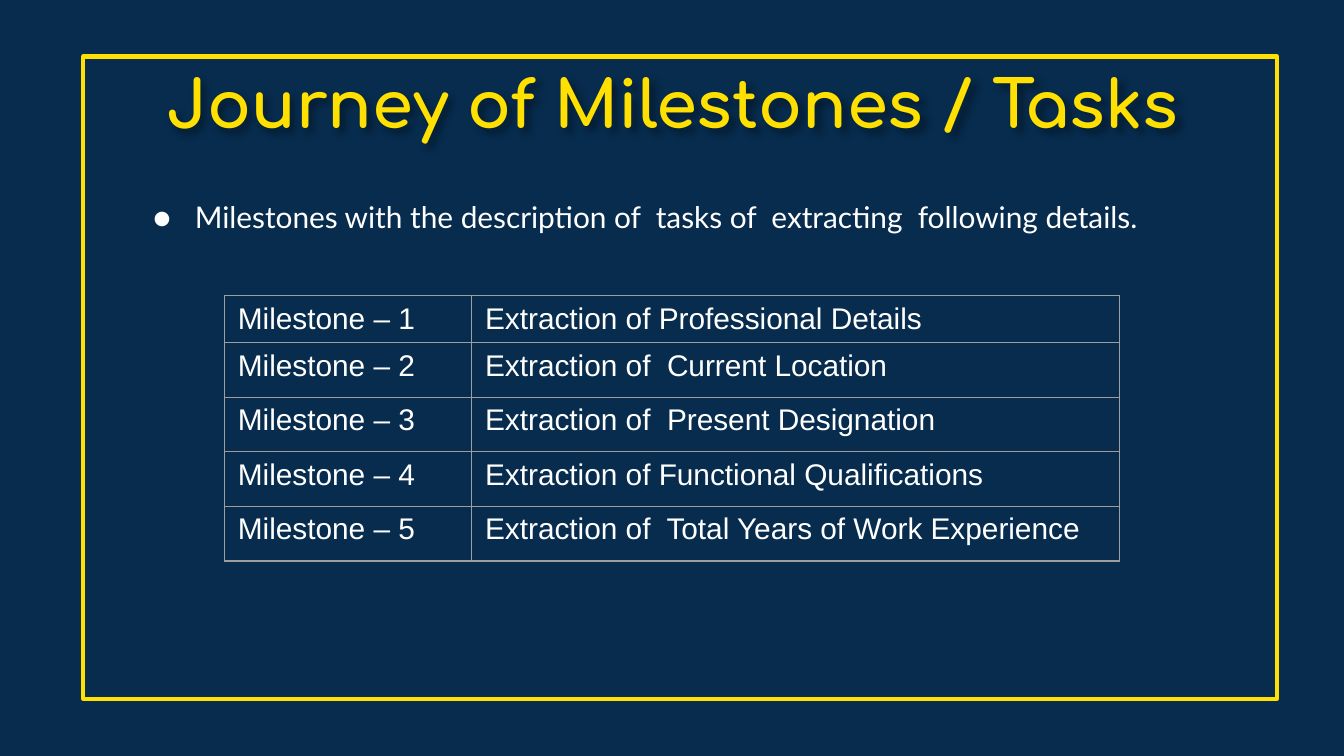
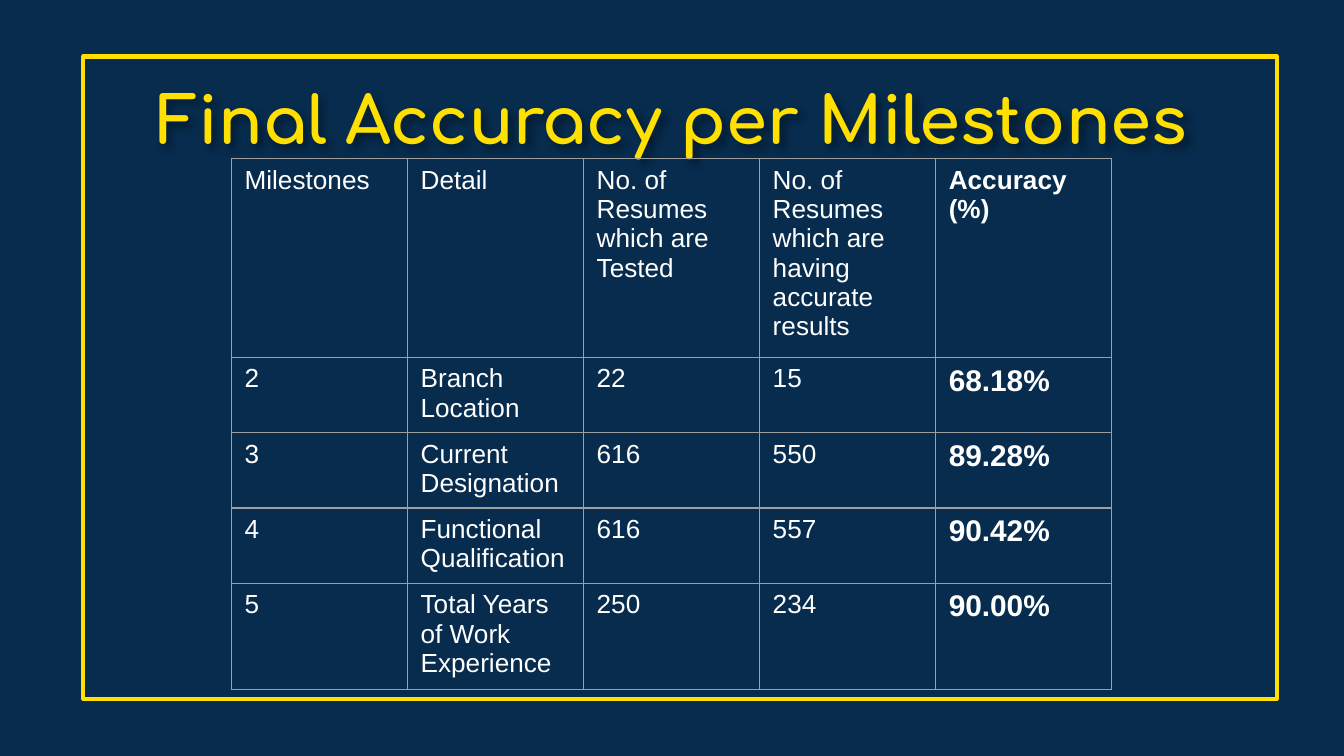
from dataclasses import dataclass
from typing import Callable

from lxml import etree
from pptx import Presentation
from pptx.dml.color import RGBColor
from pptx.enum.shapes import MSO_SHAPE
from pptx.enum.text import MSO_ANCHOR, MSO_AUTO_SIZE, PP_ALIGN
from pptx.oxml.ns import qn
from pptx.util import Inches, Pt

RECTANGLE = MSO_SHAPE.RECTANGLE
TOP = MSO_ANCHOR.TOP
NO_AUTOFIT = MSO_AUTO_SIZE.NONE
CENTER, LEFT = PP_ALIGN.CENTER, PP_ALIGN.LEFT

COLORS = {"navy": "072C4E", "yellow": "FFE000", "white": "FFFFFF",
          "grid": "9E9E9E", "shadow": "000000"}

SLIDE_WIDTH, SLIDE_HEIGHT = Inches(10), Inches(5.625)
UNIT = SLIDE_WIDTH // 100  # the slide is a grid of 100 columns by 56.25 rows
TEXT_INSET = UNIT


@dataclass(frozen=True)
class Box:
    """An area in grid columns and rows."""
    left: float
    top: float
    width: float
    height: float

    def emu(self) -> tuple[int, ...]:
        return tuple(round(length * UNIT) for length in
                     (self.left, self.top, self.width, self.height))


@dataclass(frozen=True)
class TextStyle:
    font: str
    size: float
    color: str = "white"
    bold: bool = False


@dataclass(frozen=True)
class TableSpec:
    left: float
    top: float
    columns: list[float]
    rows: list[float]
    cells: list[list[str]]
    style_at: Callable[[int, int], TextStyle]


TITLE = TextStyle("Comfortaa", 35, "yellow", bold=True)
BODY = TextStyle("Lato", 16)
LARGE_CELL = TextStyle("Arial", 16)
SMALL_CELL = TextStyle("Arial", 14)
ACCURACY_HEADER = TextStyle("Arial", 14, bold=True)
ACCURACY_VALUE = TextStyle("Arial", 16, bold=True)

FRAME = Box(6.2, 4.2, 88.8, 47.8)
FRAME_OPACITY = 91

TASKS = ["Extraction of Professional Details",
         "Extraction of  Current Location",
         "Extraction of  Present Designation",
         "Extraction of Functional Qualifications",
         "Extraction of  Total Years of Work Experience"]

ACCURACY = [
    ["Milestones", "Detail", "No. of Resumes which are Tested",
     "No. of Resumes which are having accurate results", "Accuracy\n(%)"],
    ["2", "Branch Location", "22", "15", "68.18%"],
    ["3", "Current Designation", "616", "550", "89.28%"],
    ["4", "Functional Qualification", "616", "557", "90.42%"],
    ["5", "Total Years of Work Experience", "250", "234", "90.00%"],
]


def accuracy_style(row: int, column: int) -> TextStyle:
    if column < len(ACCURACY[0]) - 1:
        return SMALL_CELL
    return ACCURACY_VALUE if row else ACCURACY_HEADER


MILESTONE_TABLE = TableSpec(
    16.7, 22, [18.4, 48.2], [3.5] + [4.06] * 4,
    [[f"Milestone – {number}", task] for number, task in enumerate(TASKS, 1)],
    lambda row, column: LARGE_CELL)
ACCURACY_TABLE = TableSpec(
    17.2, 11.8, [13.1] * 5, [14.8] + [5.6] * 3 + [7.9], ACCURACY, accuracy_style)


def rgb(name: str) -> RGBColor:
    return RGBColor.from_string(COLORS[name])


def add_element(parent, tag: str, **attributes):
    """Append a DrawingML element, such as a:ln, and return it."""
    element = etree.SubElement(parent, qn(tag))
    for key, value in attributes.items():
        element.set(key, str(value))
    return element


def style_text(text_frame, style: TextStyle) -> None:
    for paragraph in text_frame.paragraphs:
        paragraph.font.name = style.font
        paragraph.font.size = Pt(style.size)
        paragraph.font.bold = style.bold
        paragraph.font.color.rgb = rgb(style.color)


def place_text(placeholder, box: Box, text: str):
    """Move and fill a placeholder, and return its text frame."""
    placeholder.left, placeholder.top, placeholder.width, placeholder.height = box.emu()
    frame = placeholder.text_frame
    frame.text = text
    frame.word_wrap = True
    frame.auto_size = NO_AUTOFIT
    frame.vertical_anchor = TOP
    frame.margin_left = frame.margin_right = TEXT_INSET
    frame.margin_top = frame.margin_bottom = TEXT_INSET
    return frame


def add_title(slide, box: Box, text: str) -> None:
    title = slide.shapes.title
    frame = place_text(title, box, text)
    frame.paragraphs[0].alignment = CENTER
    style_text(frame, TITLE)
    effects = add_element(title.element.spPr, "a:effectLst")
    shadow = add_element(effects, "a:outerShdw", blurRad=Pt(4), dist=Pt(3),
                         dir=2700000, algn="tl", rotWithShape=0)
    color = add_element(shadow, "a:srgbClr", val=COLORS["shadow"])
    add_element(color, "a:alpha", val=40000)


def add_bullet(slide, box: Box, text: str) -> None:
    frame = place_text(slide.placeholders[1], box, text)
    paragraph = frame.paragraphs[0]
    properties = paragraph.element.get_or_add_pPr() if hasattr(
        paragraph, "element") else paragraph._p.get_or_add_pPr()
    indent = round(3.1 * UNIT)
    properties.set("marL", str(indent))
    properties.set("indent", str(-indent))
    bullet_color = add_element(properties, "a:buClr")
    add_element(bullet_color, "a:srgbClr", val=COLORS["white"])
    add_element(properties, "a:buFont", typeface=BODY.font)
    add_element(properties, "a:buChar", char="●")
    paragraph.alignment = LEFT
    paragraph.line_spacing = 1.15
    paragraph.space_before = Pt(0)
    style_text(frame, BODY)


def border_cell(cell) -> None:
    properties = cell._tc.get_or_add_tcPr()
    for position, side in enumerate(("a:lnL", "a:lnR", "a:lnT", "a:lnB")):
        line = add_element(properties, side, w=Pt(0.75))
        fill = add_element(line, "a:solidFill")
        add_element(fill, "a:srgbClr", val=COLORS["grid"])
        properties.insert(position, line)


def add_grid_table(slide, spec: TableSpec) -> None:
    box = Box(spec.left, spec.top, sum(spec.columns), sum(spec.rows))
    table = slide.shapes.add_table(
        len(spec.rows), len(spec.columns), *box.emu()).table
    table.first_row = table.horz_banding = False
    for column, width in zip(table.columns, spec.columns):
        column.width = round(width * UNIT)
    for row, height in zip(table.rows, spec.rows):
        row.height = round(height * UNIT)
    for row, texts in enumerate(spec.cells):
        for column, text in enumerate(texts):
            cell = table.cell(row, column)
            cell.text = text
            cell.fill.background()
            border_cell(cell)
            style_text(cell.text_frame, spec.style_at(row, column))


def decorate_master(presentation, slide) -> None:
    """Give every slide the navy ground and the yellow frame."""
    master = presentation.slide_master
    master.background.fill.solid()
    master.background.fill.fore_color.rgb = rgb("navy")
    frame = slide.shapes.add_shape(RECTANGLE, *FRAME.emu())
    frame.shadow.inherit = False
    frame.fill.solid()
    frame.fill.fore_color.rgb = rgb("navy")
    color = frame.element.spPr.find(qn("a:solidFill")).find(qn("a:srgbClr"))
    add_element(color, "a:alpha", val=FRAME_OPACITY * 1000)
    frame.line.color.rgb = rgb("yellow")
    frame.line.width = Pt(2.25)
    frame.element.nvSpPr.cNvPr.set("id", "20")
    master.shapes.element.insert(2, frame.element)


def main() -> None:
    presentation = Presentation()
    presentation.slide_width, presentation.slide_height = SLIDE_WIDTH, SLIDE_HEIGHT
    layouts = presentation.slide_layouts

    journey = presentation.slides.add_slide(layouts.get_by_name("Title and Content"))
    decorate_master(presentation, journey)
    add_title(journey, Box(7.9, 3.7, 84.3, 7), "Journey of Milestones / Tasks")
    add_bullet(journey, Box(10.4, 13.4, 81.8, 38.6),
               "Milestones with the description of  tasks of  extracting  "
               "following details.")
    add_grid_table(journey, MILESTONE_TABLE)

    accuracy = presentation.slides.add_slide(layouts.get_by_name("Title Only"))
    add_title(accuracy, Box(7.9, 4.9, 84.3, 12), "Final Accuracy per Milestones")
    add_grid_table(accuracy, ACCURACY_TABLE)

    presentation.save("out.pptx")


if __name__ == "__main__":
    main()
